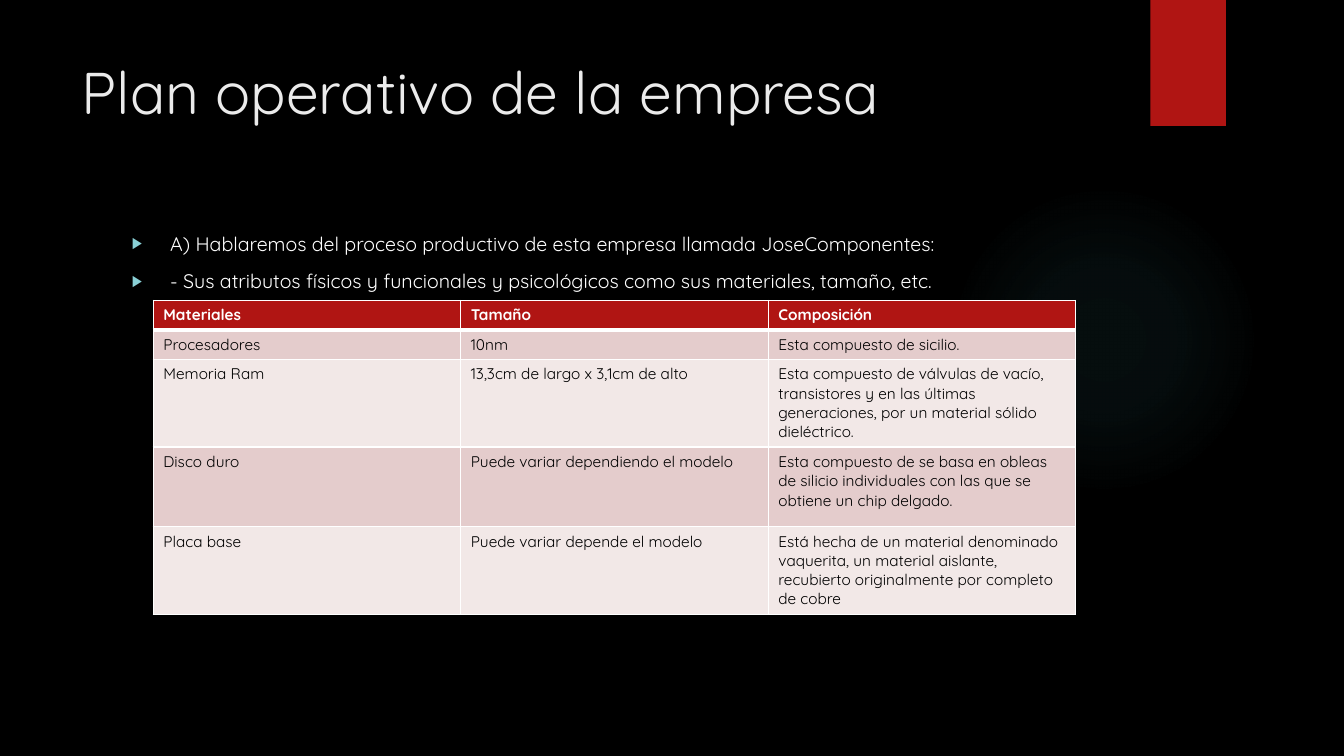
from dataclasses import dataclass

from lxml import etree
from pptx import Presentation
from pptx import util as u
from pptx.dml.color import RGBColor
from pptx.enum import shapes, text
from pptx.oxml import parse_xml
from pptx.oxml.ns import nsdecls, qn


@dataclass(frozen=True)
class Theme:
    """Colours, font and type sizes of the deck."""
    font: str = "Quicksand"
    background: str = "000000"
    accent: str = "B01513"
    glow: str = "50B9C1"
    bullet: str = "8AD0D6"
    heading: str = "EBEBEB"
    light: str = "FFFFFF"
    dark: str = "000000"
    bands: tuple = ("E4CCCC", "F2E8E7")
    title_size: int = 42
    body_size: int = 14
    table_size: int = 11


def write(paragraph, words, *, font, size, color, bold=False, before=0):
    """Put formatted words in a paragraph."""
    paragraph.alignment = text.PP_ALIGN.LEFT
    paragraph.space_before = u.Pt(before)
    run = paragraph.add_run()
    run.text = words
    run.font.name, run.font.size, run.font.bold = font, u.Pt(size), bold
    run.font.color.rgb = RGBColor.from_string(color)


def add_bullet(paragraph, color, indent):
    """Give a paragraph a hanging triangle bullet."""
    props = paragraph._p.get_or_add_pPr()
    props.set("marL", str(indent))
    props.set("indent", str(-indent))
    tint = etree.SubElement(props, qn("a:buClr"))
    etree.SubElement(tint, qn("a:srgbClr"), val=color)
    etree.SubElement(props, qn("a:buSzPct"), val="80000")
    etree.SubElement(props, qn("a:buFont"), typeface="Arial")
    etree.SubElement(props, qn("a:buChar"), char="▶")


def add_borders(cell, color, widths):
    """Draw the left, right, top and bottom lines of a cell."""
    props = cell._tc.get_or_add_tcPr()
    for place, (side, width) in enumerate(zip("LRTB", widths)):
        props.insert(place, parse_xml(
            f'<a:ln{side} {nsdecls("a")} w="{u.Pt(width)}"><a:solidFill>'
            f'<a:srgbClr val="{color}"/></a:solidFill></a:ln{side}>'))


class Deck:
    """Holds the theme and the current slide."""

    def __init__(self, theme):
        """Open a wide deck with one title-only slide."""
        self.theme = theme
        self.presentation = Presentation()
        self.presentation.slide_width = u.Inches(13.33)
        self.presentation.slide_height = u.Inches(7.5)
        layout = self.presentation.slide_layouts[5]
        self.slide = self.presentation.slides.add_slide(layout)
        fill = self.slide.background.fill
        fill.solid()
        fill.fore_color.rgb = RGBColor.from_string(theme.background)

    def shape(self, kind, box, color):
        """Add a plain shape without outline."""
        item = self.slide.shapes.add_shape(kind, *map(u.Inches, box))
        item.shadow.inherit = False
        item.line.fill.background()
        item.fill.solid()
        item.fill.fore_color.rgb = RGBColor.from_string(color)
        return item

    def glow(self, box, stops):
        """Add a circle fading outwards through (position, opacity) stops."""
        halo = self.shape(shapes.MSO_SHAPE.OVAL, box, self.theme.glow)
        steps = "".join(
            f'<a:gs pos="{position * 1000}"><a:srgbClr val="{self.theme.glow}">'
            f'<a:alpha val="{opacity * 1000}"/></a:srgbClr></a:gs>'
            for position, opacity in stops)
        props = halo._element.spPr
        props.replace(props.find(qn("a:solidFill")), parse_xml(
            f'<a:gradFill {nsdecls("a")}><a:gsLst>{steps}</a:gsLst>'
            '<a:path path="circle"><a:fillToRect l="50000" t="50000" '
            'r="50000" b="50000"/></a:path></a:gradFill>'))

    def ribbon(self, box):
        """Add the accent block with a soft shadow below it."""
        block = self.shape(shapes.MSO_SHAPE.RECTANGLE, box, self.theme.accent)
        block._element.spPr.find(qn("a:effectLst")).append(parse_xml(
            f'<a:outerShdw {nsdecls("a")} blurRad="{u.Pt(3)}" '
            f'dist="{u.Pt(2)}" dir="5400000"><a:srgbClr val="{self.theme.dark}">'
            '<a:alpha val="45000"/></a:srgbClr></a:outerShdw>'))

    def frame(self, holder):
        """Wrap text from the top of its holder."""
        frame = holder.text_frame
        frame.word_wrap = True
        frame.auto_size = text.MSO_AUTO_SIZE.NONE
        frame.vertical_anchor = text.MSO_ANCHOR.TOP
        return frame

    def title(self, words, box):
        """Place and fill the title placeholder."""
        title = self.slide.shapes.title
        title.left, title.top, title.width, title.height = map(u.Inches, box)
        write(self.frame(title).paragraphs[0], words, font=self.theme.font,
              size=self.theme.title_size, color=self.theme.heading)

    def bullets(self, points, box):
        """Add a list of bulleted points."""
        frame = self.frame(self.slide.shapes.add_textbox(*map(u.Inches, box)))
        for number, point in enumerate(points):
            paragraph = frame.add_paragraph() if number else frame.paragraphs[0]
            write(paragraph, point, font=self.theme.font, before=10,
                  size=self.theme.body_size, color=self.theme.light)
            add_bullet(paragraph, self.theme.bullet, u.Inches(0.38))

    def table(self, records, box, heights):
        """Add a banded table whose first record is the header."""
        theme = self.theme
        grid = self.slide.shapes.add_table(
            len(records), len(records[0]), *map(u.Inches, box)).table
        for row, (record, height) in enumerate(zip(records, heights)):
            grid.rows[row].height = u.Inches(height)
            header = row == 0
            fill = theme.accent if header else theme.bands[(row - 1) % 2]
            widths = (1, 1, 3 if row == 1 else 1, 3 if header else 1)
            for column, words in enumerate(record):
                cell = grid.cell(row, column)
                cell.fill.solid()
                cell.fill.fore_color.rgb = RGBColor.from_string(fill)
                add_borders(cell, theme.light, widths)
                write(cell.text_frame.paragraphs[0], words, font=theme.font,
                      size=theme.table_size, bold=header,
                      color=theme.light if header else theme.dark)


MATERIALS = [
    ("Materiales", "Tamaño", "Composición"),
    ("Procesadores", "10nm", "Esta compuesto de sicilio."),
    ("Memoria Ram", "13,3cm de largo x 3,1cm de alto",
     "Esta compuesto de válvulas de vacío, transistores y en las últimas "
     "generaciones, por un material sólido dieléctrico."),
    ("Disco duro", "Puede variar dependiendo el modelo",
     "Esta compuesto de se basa en obleas de silicio individuales con las "
     "que se obtiene un chip delgado."),
    ("Placa base", "Puede variar depende el modelo",
     "Está hecha de un material denominado vaquerita, un material aislante, "
     "recubierto originalmente por completo de cobre"),
]
POINTS = [
    "A) Hablaremos del proceso productivo de esta empresa llamada "
    "JoseComponentes:",
    "- Sus atributos físicos y funcionales y psicológicos como sus "
    "materiales, tamaño, etc.",
]


def main():
    """Build the operating plan slide."""
    deck = Deck(Theme())
    deck.glow((9.41, 1.83, 3.08, 3.08), [(0, 7), (36, 6), (69, 0), (100, 0)])
    deck.ribbon((11.41, 0, 0.75, 1.25))
    deck.title("Plan operativo de la empresa", (0.71, 0.5, 10.29, 1.53))
    deck.bullets(POINTS, (1.21, 2.25, 9.78, 4.59))
    deck.table(MATERIALS, (1.52, 2.98, 9.15, 3.11),
               (0.29, 0.29, 0.87, 0.79, 0.87))
    deck.presentation.save("out.pptx")


main()
